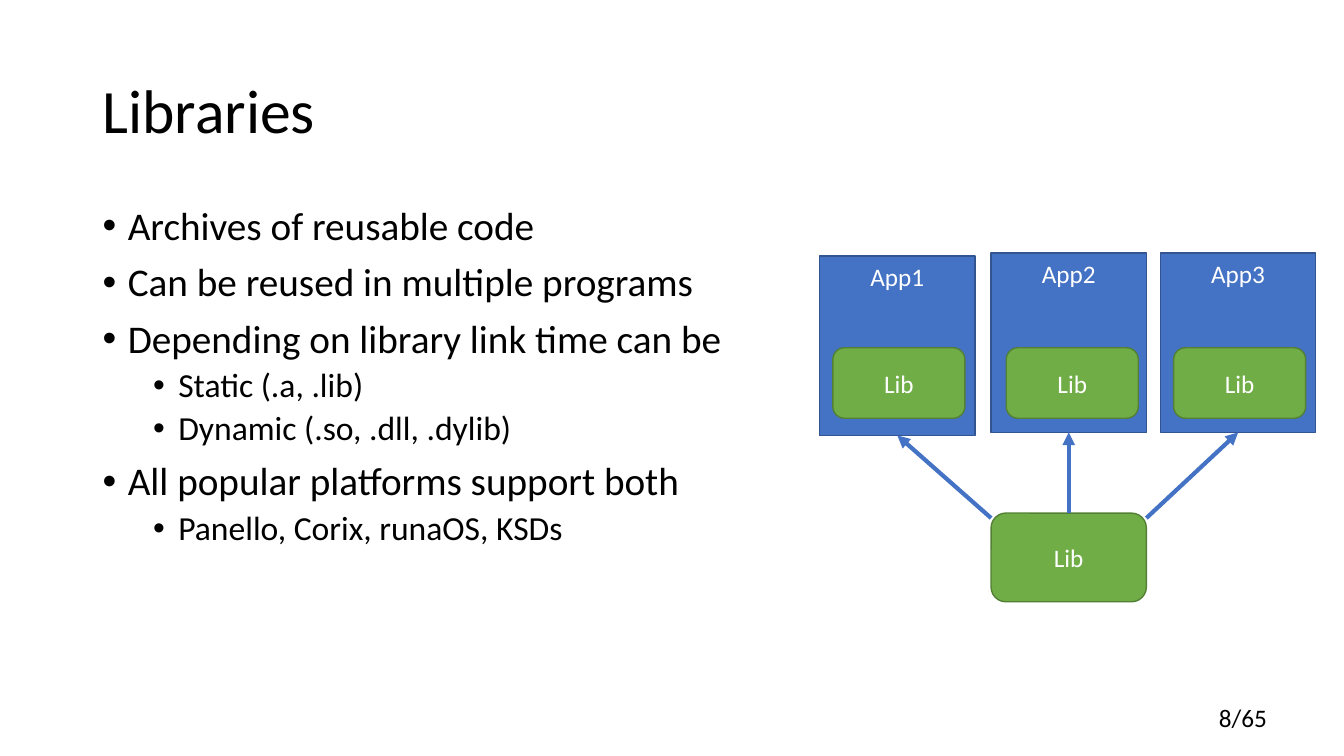
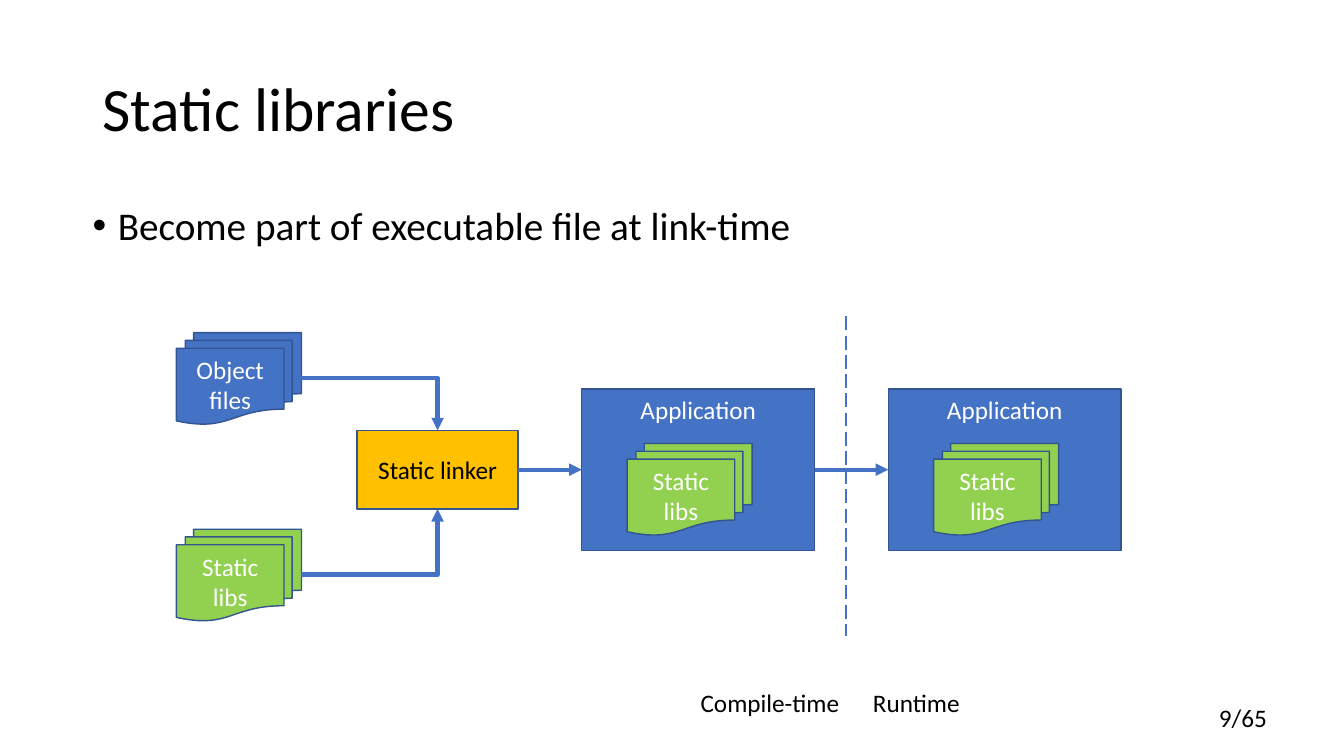
"""Build two slides about libraries and static linking."""
from dataclasses import dataclass

from lxml.etree import SubElement
from pptx import Presentation
from pptx.dml.color import RGBColor
from pptx.enum.dml import MSO_LINE
from pptx.enum.shapes import MSO_CONNECTOR, MSO_SHAPE
from pptx.enum.text import MSO_ANCHOR, PP_ALIGN
from pptx.oxml.ns import qn
from pptx.util import Pt

EMU_PER_PX = 9144


@dataclass(frozen=True)
class Theme:
    """Colours, font and type sizes of the deck."""
    font: str = "Calibri"
    ink: str = "000000"
    paper: str = "FFFFFF"
    blue: str = "4472C4"
    blue_edge: str = "325491"
    green: str = "70AD47"
    green_edge: str = "538035"
    lime: str = "92D050"
    amber: str = "FFC000"
    title: int = 44
    bullets: tuple = (28, 24)
    label: int = 18


THEME = Theme()


def px(*lengths):
    """Turn pixel lengths into EMU."""
    return [length * EMU_PER_PX for length in lengths]


def write(frame, text, *, size=THEME.label, color=THEME.ink, align=PP_ALIGN.LEFT,
          spacing=None, before=None):
    """Add a formatted paragraph to a text frame and return it."""
    first = frame.paragraphs[0]
    paragraph = frame.add_paragraph() if first.runs else first
    paragraph.alignment = align
    paragraph.line_spacing = spacing
    paragraph.space_before = before
    run = paragraph.add_run()
    run.text = text
    run.font.name = THEME.font
    run.font.size = Pt(size)
    run.font.color.rgb = RGBColor.from_string(color)
    return paragraph


class Deck:
    """Holds the presentation, its style and the current slide."""

    def __init__(self, theme, total):
        """Start an empty widescreen deck."""
        self.theme = theme
        self.total = total
        self.file = Presentation()
        self.file.slide_width, self.file.slide_height = px(1333, 750)
        self.slide = None

    def new_slide(self, title, number, title_top):
        """Add a slide with its title and page number."""
        self.slide = self.file.slides.add_slide(self.file.slide_layouts[6])
        heading = self.frame(92, title_top, 1150, 145, MSO_ANCHOR.MIDDLE)
        write(heading, title, size=self.theme.title, spacing=0.9)
        self.label(f"{number}/{self.total}", 1199, 692, 130)

    def frame(self, left, top, width, height, anchor=MSO_ANCHOR.TOP):
        """Add an empty wrapping text box and return its frame."""
        frame = self.slide.shapes.add_textbox(*px(left, top, width, height)).text_frame
        frame.word_wrap = True
        frame.vertical_anchor = anchor
        return frame

    def label(self, text, left, top, width):
        """Add a one-line label."""
        write(self.frame(left, top, width, 40), text)

    def bullets(self, items, left):
        """Add a bulleted list of (level, text) items."""
        frame = self.frame(left, 200, 1242 - left, 476)
        for level, text in items:
            paragraph = write(frame, text, size=self.theme.bullets[level],
                              spacing=0.9, before=Pt(5 if level else 10))
            paragraph.level = level
            margin, hanging = px(25 + 50 * level, -25)
            properties = paragraph.element.get_or_add_pPr() if hasattr(
                paragraph, "element") else paragraph._p.get_or_add_pPr()
            properties.set("marL", str(margin))
            properties.set("indent", str(hanging))
            SubElement(properties, qn("a:buFont"), typeface="Arial")
            SubElement(properties, qn("a:buChar"), char="•")

    def block(self, kind, text, left, top, width, height, fill, edge=None,
              color=None, anchor=MSO_ANCHOR.MIDDLE):
        """Add a filled, outlined shape with centred text."""
        shape = self.slide.shapes.add_shape(kind, *px(left, top, width, height))
        shape.shadow.inherit = False
        shape.fill.solid()
        shape.fill.fore_color.rgb = RGBColor.from_string(fill)
        shape.line.color.rgb = RGBColor.from_string(edge or self.theme.blue_edge)
        shape.line.width = Pt(1)
        shape.text_frame.word_wrap = True
        shape.text_frame.vertical_anchor = anchor
        write(shape.text_frame, text, color=color or self.theme.paper,
              align=PP_ALIGN.CENTER)
        return shape

    def app(self, text, left, top, width, height):
        """Add an application box with its name at the top."""
        return self.block(MSO_SHAPE.RECTANGLE, text, left, top, width, height,
                          self.theme.blue, anchor=MSO_ANCHOR.TOP)

    def lib(self, left, top, width, height):
        """Add a rounded library box."""
        return self.block(MSO_SHAPE.ROUNDED_RECTANGLE, "Lib", left, top, width, height,
                          self.theme.green, self.theme.green_edge)

    def files(self, text, left, top, fill):
        """Add a stack of documents."""
        return self.block(MSO_SHAPE.FLOWCHART_MULTIDOCUMENT, text, left, top, 124, 91, fill)

    def line(self, start, end, *, width=3, arrow=True, bent=False):
        """Add a line between ends given as (x, y) or (shape, side)."""
        kind = MSO_CONNECTOR.ELBOW if bent else MSO_CONNECTOR.STRAIGHT
        link = self.slide.shapes.add_connector(kind, 0, 0, 0, 0)
        if isinstance(start[0], int):
            link.begin_x, link.begin_y = px(*start)
        else:
            link.begin_connect(*start)
        if isinstance(end[0], int):
            link.end_x, link.end_y = px(*end)
        else:
            link.end_connect(*end)
        link.line.color.rgb = RGBColor.from_string(self.theme.blue)
        link.line.width = Pt(width)
        properties = link.element.spPr
        if bent:
            properties.find(qn("a:prstGeom")).set("prst", "bentConnector2")
        if arrow:
            SubElement(properties.find(qn("a:ln")), qn("a:tailEnd"), type="triangle")
        else:
            link.line.dash_style = MSO_LINE.LONG_DASH
        SubElement(properties, qn("a:effectLst"))


def libraries(deck):
    """Show one library reused by three programs."""
    deck.new_slide("Libraries", 8, 40)
    deck.bullets([
        (0, "Archives of reusable code"),
        (0, "Can be reused in multiple programs"),
        (0, "Depending on library link time can be"),
        (1, "Static (.a, .lib)"),
        (1, "Dynamic (.so, .dll, .dylib)"),
        (0, "All popular platforms support both"),
        (1, "Panello, Corix, runaOS, KSDs"),
    ], 92)
    shared_lib = deck.lib(983, 509, 154, 88)
    sources = [(983, 514), (shared_lib, 0), (1137, 514)]
    places = [(813, 254, 826), (983, 251, 998), (1151, 251, 1164)]
    for number, (source, (left, top, lib_left)) in enumerate(zip(sources, places), 1):
        app = deck.app(f"App{number}", left, top, 154, 178)
        deck.lib(lib_left, 345, 131, 70)
        deck.line(source, (app, 2))


def static_libraries(deck):
    """Show static linking from inputs to the running application."""
    theme = deck.theme
    deck.new_slide("Static libraries", 9, 38)
    deck.bullets([(0, "Become part of executable file at link-time")], 82)
    deck.files("Object files", 175, 330, theme.blue)
    deck.files("Static libs", 175, 525, theme.lime)
    linker = deck.block(MSO_SHAPE.RECTANGLE, "Static linker", 354, 427, 160, 78,
                        theme.amber, color=theme.ink)
    deck.line((299, 375), (434, 427), bent=True)
    deck.line((299, 570), (434, 505), bent=True)
    previous = linker
    for left in (577, 881):
        application = deck.app("Application", left, 386, 231, 160)
        deck.files("Static libs", left + 45, 440, theme.lime)
        deck.line((previous, 3), (application, 1))
        previous = application
    deck.line((839, 314), (839, 631), width=1.25, arrow=False)
    deck.label("Compile-time", 685, 677, 165)
    deck.label("Runtime", 856, 677, 120)


def main():
    """Build and save the deck."""
    deck = Deck(THEME, 65)
    libraries(deck)
    static_libraries(deck)
    deck.file.save("out.pptx")


if __name__ == "__main__":
    main()
